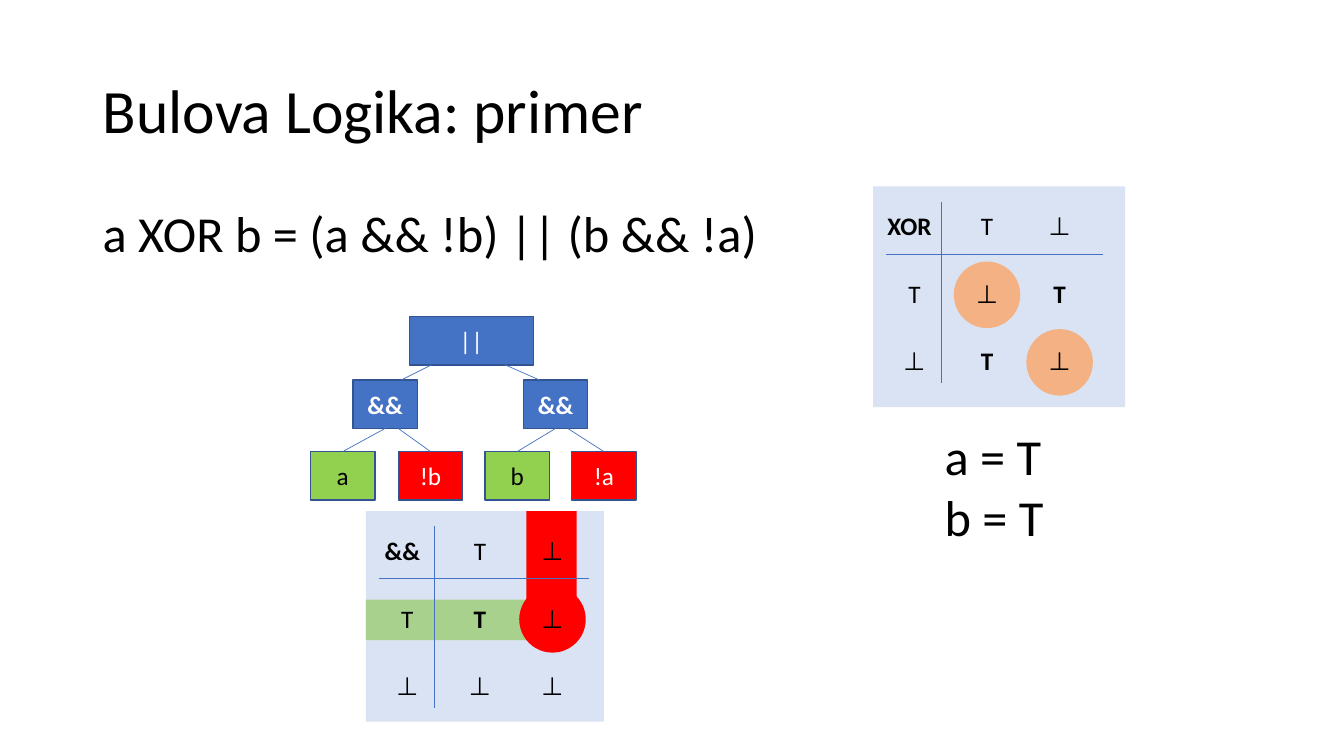
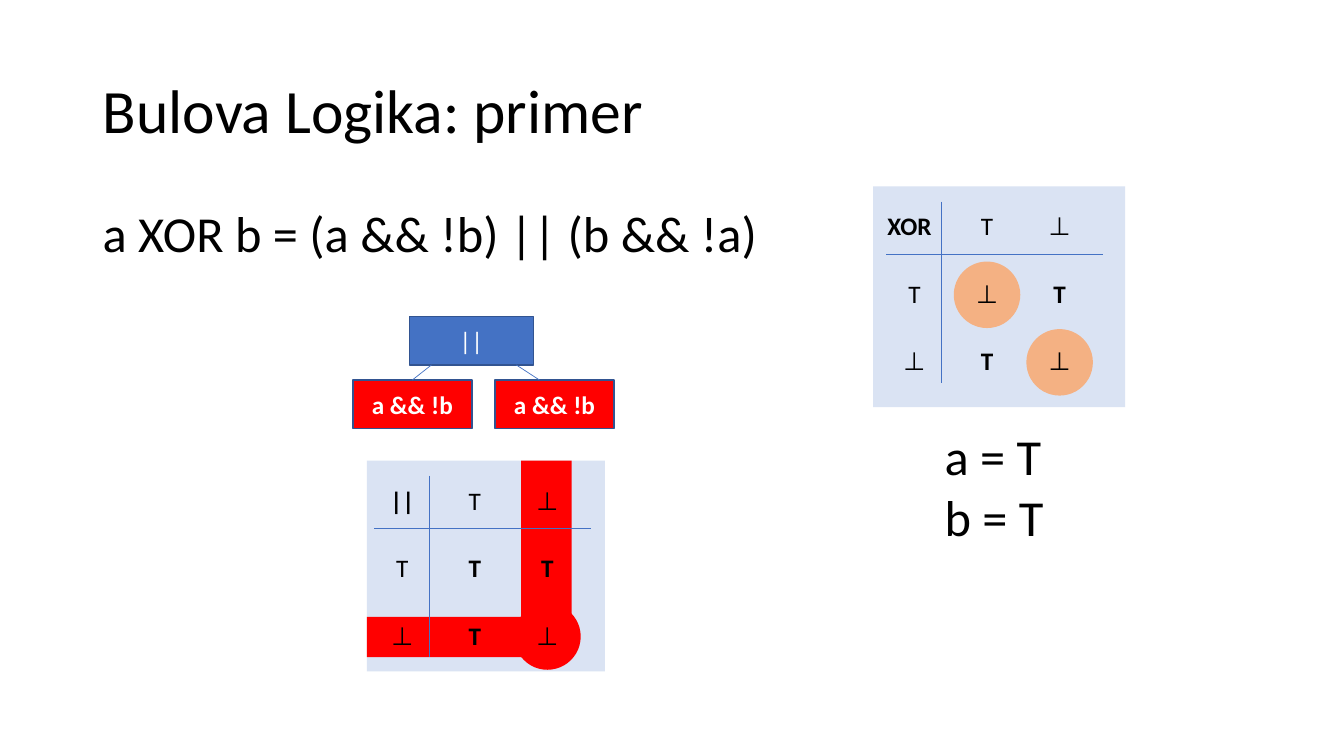
from lxml import etree
from pptx import Presentation
from pptx.dml.color import RGBColor
from pptx.enum.shapes import MSO_CONNECTOR, MSO_SHAPE
from pptx.enum.text import MSO_ANCHOR, MSO_AUTO_SIZE, PP_ALIGN
from pptx.oxml.ns import qn
from pptx.util import Inches, Pt

hexa = RGBColor.from_string

# Shared look
FONT = "Calibri"
BLACK, WHITE = "000000", "FFFFFF"
BLUE, DARK_BLUE, PALE_BLUE = "4472C4", "325491", "DAE3F3"
RED, LIME, GREEN, ORANGE = "FF0000", "92D050", "A9D18E", "F4B183"
NO_STYLE = "{2D5ABB26-0587-4C30-8999-92F81FD0307C}"
COLUMN, ROW, CIRCLE = 0.72, 0.67, 0.66
NODE_HEIGHT = 0.48
LEVELS = (3.14, 3.77, 4.48)


def write(frame, lines, size, color=BLACK, bold=False, align=PP_ALIGN.LEFT):
    frame.text = "\n".join(lines)
    for para in frame.paragraphs:
        para.alignment = align
        para.font.name = FONT
        para.font.size = Pt(size)
        para.font.bold = bold
        para.font.color.rgb = hexa(color)


def add_block(page, kind, at, fill, line=None):
    block = page.shapes.add_shape(kind, *map(Inches, at))
    block.shadow.inherit = False
    block.fill.solid()
    block.fill.fore_color.rgb = hexa(fill)
    if line:
        block.line.color.rgb = hexa(line)
        block.line.width = Pt(1)
    else:
        block.line.fill.background()
    return block


# Truth tables: panel, grid corner, rule length, header shift, bars, circled cells
XOR_TABLE = {
    "panel": (8.66, 1.85, 2.5, 2.19), "corner": (8.71, 1.92), "rule": 2.15,
    "shift": 0.1, "bars": [], "mark": ORANGE, "circled": [(1, 1), (2, 2)],
    "rows": ["XOR T ⊥", "T ⊥ T", "⊥ T ⊥"],
}
AND_TABLE = {
    "panel": (3.63, 5.07, 2.36, 2.09), "corner": (3.68, 5.14), "rule": 2.08,
    "shift": 0.1, "mark": RED, "circled": [(1, 2)],
    "bars": [((3.63, 5.95, 1.82, 0.4), GREEN), ((5.22, 5.07, 0.5, 1.28), RED)],
    "rows": ["&& T ⊥", "T T ⊥", "⊥ ⊥ ⊥"],
}
OR_TABLE = {
    "panel": (3.64, 4.57, 2.36, 2.09), "corner": (3.63, 4.64), "rule": 2.15,
    "shift": 0, "mark": RED, "circled": [(2, 2)],
    "bars": [((5.17, 4.57, 0.5, 1.95), RED), ((3.64, 6.12, 2.03, 0.4), RED)],
    "rows": ["|| T ⊥", "T T T", "⊥ T ⊥"],
}

# Trees: nodes as text, left, width, level, fill, text colour;
# a link end is a point or the number of a node
ROOT = ("||", 4.06, 1.23, 0, BLUE, WHITE)
PAGES = [
    {
        "nodes": [
            ROOT,
            ("&&", 3.5, 0.64, 1, BLUE, WHITE),
            ("&&", 5.19, 0.64, 1, BLUE, WHITE),
            ("a", 3.08, 0.64, 2, LIME, BLACK),
            ("!b", 3.95, 0.64, 2, RED, WHITE),
            ("b", 4.81, 0.64, 2, LIME, BLACK),
            ("!a", 5.67, 0.64, 2, RED, WHITE),
        ],
        "links": [
            ((4.28, 3.62), (3.98, 3.77)), ((5.01, 3.62), (5.35, 3.77)),
            (1, 3), ((3.95, 4.25), 4), (2, 5), ((5.63, 4.25), 6),
        ],
        "table": AND_TABLE,
    },
    {
        "nodes": [
            ROOT,
            ("a && !b", 3.5, 1.18, 1, RED, WHITE),
            ("a && !b", 4.91, 1.18, 1, RED, WHITE),
        ],
        "links": [((4.28, 3.62), 1), ((5.12, 3.62), (5.35, 3.77))],
        "table": OR_TABLE,
    },
]

deck = Presentation()
deck.slide_width, deck.slide_height = Inches(13.33), Inches(7.5)

for content in PAGES:
    page = deck.slides.add_slide(deck.slide_layouts[5])
    lines = list(content["links"])

    # Title
    title = page.shapes.title
    title.left, title.top = Inches(0.92), Inches(0.4)
    title.width, title.height = Inches(11.5), Inches(1.45)
    title.text_frame.auto_size = MSO_AUTO_SIZE.NONE
    title.text_frame.vertical_anchor = MSO_ANCHOR.MIDDLE
    write(title.text_frame, ["Bulova Logika: primer"], 44)
    title.text_frame.paragraphs[0].line_spacing = 0.9

    # Formula and values
    for at, texts in [
        ((0.92, 1.96, 6.75, 0.71), ["a XOR b = (a && !b) || (b && !a)"]),
        ((9.27, 4.17, 1.19, 1.31), ["a = T", "b = T"]),
    ]:
        box = page.shapes.add_textbox(*map(Inches, at))
        box.text_frame.word_wrap = False
        write(box.text_frame, texts, 36)

    # Truth tables
    for truth in (XOR_TABLE, content["table"]):
        left, top = truth["corner"]
        add_block(page, MSO_SHAPE.RECTANGLE, truth["panel"], PALE_BLUE)
        for at, fill in truth["bars"]:
            add_block(page, MSO_SHAPE.RECTANGLE, at, fill)
        for row, column in truth["circled"]:
            x = left + (column + 0.5) * COLUMN - CIRCLE / 2
            y = top + (row + 0.5) * ROW - CIRCLE / 2
            add_block(page, MSO_SHAPE.OVAL, (x, y, CIRCLE, CIRCLE), truth["mark"])

        frame = page.shapes.add_table(
            3, 3, Inches(left), Inches(top), Inches(3 * COLUMN), Inches(3 * ROW))
        table = frame.table
        table.first_row = table.horz_banding = False
        table._tbl.tblPr.find(qn("a:tableStyleId")).text = NO_STYLE
        for row, texts in enumerate(truth["rows"]):
            for column, text in enumerate(texts.split()):
                cell = table.cell(row, column)
                cell.fill.background()
                cell.margin_left = cell.margin_right = 0
                cell.margin_top = cell.margin_bottom = 0
                cell.vertical_anchor = MSO_ANCHOR.MIDDLE
                corner = row == column == 0
                result = row > 0 and column > 0
                write(cell.text_frame, [text], 18, align=PP_ALIGN.CENTER,
                      bold=corner or (result and text == "T"))
        table.cell(0, 0).margin_right = Inches(truth["shift"])

        lines.append(((left + 0.63, top + 0.08), (left + 0.63, top + 1.88)))
        lines.append(((left + 0.08, top + 0.6), (left + 0.08 + truth["rule"], top + 0.6)))

    # Tree nodes
    nodes = []
    for text, left, width, level, fill, color in content["nodes"]:
        node = add_block(page, MSO_SHAPE.RECTANGLE,
                         (left, LEVELS[level], width, NODE_HEIGHT), fill, DARK_BLUE)
        node.text_frame.vertical_anchor = MSO_ANCHOR.MIDDLE
        write(node.text_frame, [text], 18, color, level == 1, PP_ALIGN.CENTER)
        nodes.append(node)

    # Tree links and table rules
    for start, end in lines:
        points = [(0, 0) if isinstance(point, int) else point for point in (start, end)]
        link = page.shapes.add_connector(
            MSO_CONNECTOR.STRAIGHT, *[Inches(value) for point in points for value in point])
        if isinstance(start, int):
            link.begin_connect(nodes[start], 2)
        if isinstance(end, int):
            link.end_connect(nodes[end], 0)
        link.line.color.rgb = hexa(BLUE)
        link.line.width = Pt(0.5)
        etree.SubElement(link._element.spPr, qn("a:effectLst"))

deck.save("out.pptx")
